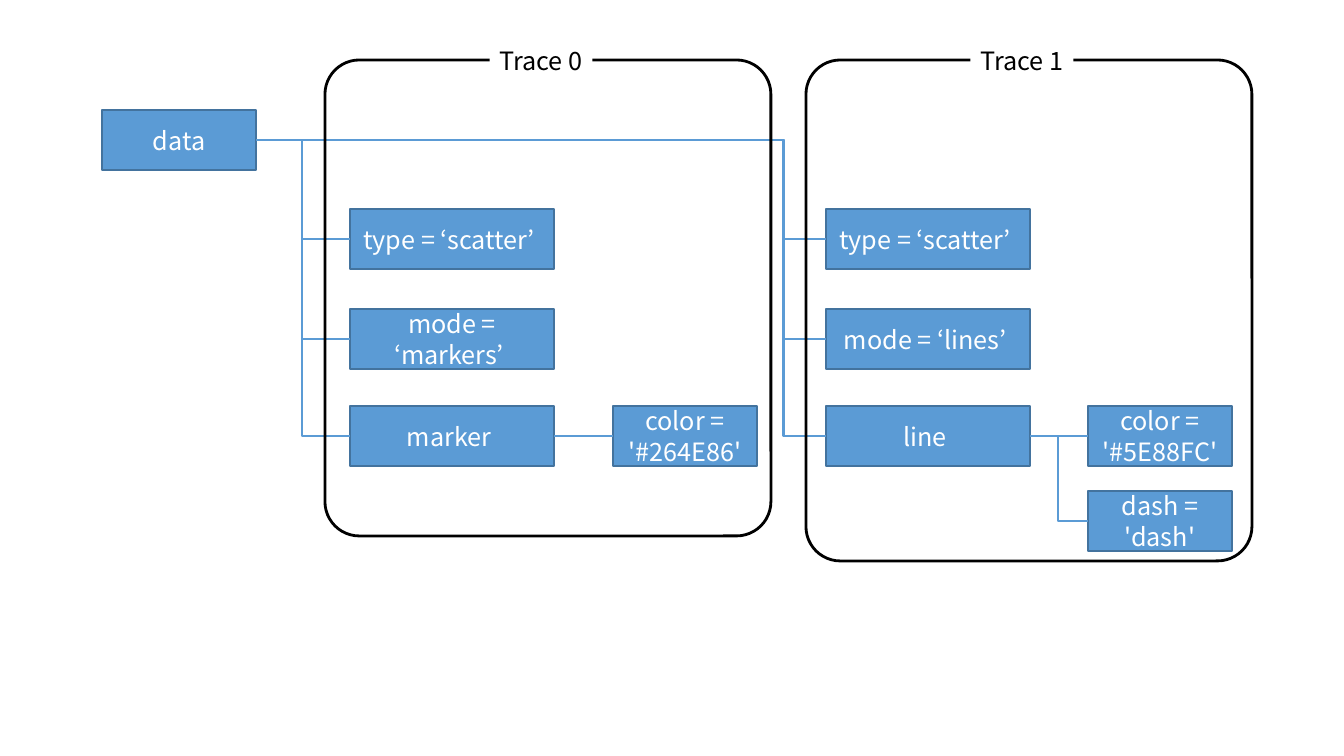
from lxml import etree
from pptx import Presentation, util as u
from pptx.dml.color import RGBColor
from pptx.enum import shapes, text
from pptx.oxml.ns import qn

FONT = "Noto Sans CJK KR"
HUES = {"blue": "5B9BD5", "edge": "43739E", "black": "000000", "white": "FFFFFF"}
SCALE = u.Inches(1) / 100.8
HIGH = 60  # height of every node

# Columns as (left, width), rows as tops
COLS = {"root": (102, 154), "keys0": (350, 204), "subs0": (613, 144),
        "keys1": (826, 204), "subs1": (1088, 144)}
ROWS = {"data": 110, "type": 209, "mode": 309, "style": 406, "dash": 491}

# Nodes: (column, row, wording)
NODES = [
    ("root", "data", "data"),
    ("keys0", "type", "type = ‘scatter’ "),
    ("keys0", "mode", "mode = ‘markers’ "),
    ("keys0", "style", "marker "),
    ("subs0", "style", "color = '#264E86'"),
    ("keys1", "type", "type = ‘scatter’ "),
    ("keys1", "mode", "mode = ‘lines’ "),
    ("keys1", "style", "line "),
    ("subs1", "style", "color = '#5E88FC'"),
    ("subs1", "dash", "dash = 'dash'"),
]

# Branches: (parent, child column, child rows, x of the bend)
LINKS = [
    (("root", "data"), "keys0", ("type", "mode", "style"), 302),
    (("keys0", "style"), "subs0", ("style",), 583),
    (("keys1", "style"), "subs1", ("style", "dash"), 1058),
    (("root", "data"), "keys1", ("type", "mode", "style"), 783),
]

# Traces: (title, left, top, width, height)
TRACES = [("Trace 0", 325, 60, 446, 476), ("Trace 1", 806, 60, 446, 501)]


def px(n):
    return u.Emu(round(n * SCALE))


def rgb(hue):
    return RGBColor.from_string(HUES[hue])


def write(shape, words, hue="white", size=18, align=text.PP_ALIGN.CENTER,
          anchor=text.MSO_ANCHOR.MIDDLE):
    frame = shape.text_frame
    frame.word_wrap = True
    frame.vertical_anchor = anchor
    para = frame.paragraphs[0]
    para.alignment = align
    run = para.add_run()
    run.text = words
    run.font.name, run.font.size = FONT, u.Pt(size)
    run.font.color.rgb = rgb(hue)


def block(box, kind=shapes.MSO_SHAPE.RECTANGLE, fill=None, line=None, width=1):
    shape = slide.shapes.add_shape(kind, *map(px, box))
    shape.shadow.inherit = False
    if fill:
        shape.fill.solid()
        shape.fill.fore_color.rgb = rgb(fill)
    else:
        shape.fill.background()
    if line:
        shape.line.color.rgb = rgb(line)
        shape.line.width = u.Pt(width)
    else:
        shape.line.fill.background()
    return shape


def link(start, end, bend):
    kinds = shapes.MSO_CONNECTOR
    flat = start.top == end.top
    wire = slide.shapes.add_connector(
        kinds.STRAIGHT if flat else kinds.ELBOW, 0, 0, 0, 0)
    wire.begin_connect(start, 3)  # right side
    wire.end_connect(end, 1)      # left side
    wire.line.color.rgb = rgb("blue")
    wire.line.width = u.Pt(2)
    props = wire._element.spPr
    etree.SubElement(props, qn("a:effectLst"))
    if not flat:
        ratio = (px(bend) - wire.begin_x) / (wire.end_x - wire.begin_x)
        guide = etree.SubElement(props.find(".//" + qn("a:avLst")), qn("a:gd"))
        guide.set("name", "adj1")
        guide.set("fmla", f"val {round(ratio * 100000)}")


deck = Presentation()
deck.slide_width, deck.slide_height = px(1344), px(756)
slide = deck.slides.add_slide(deck.slide_layouts[6])

# Nodes of the tree
nodes = {}
for col, row, words in NODES:
    left, wide = COLS[col]
    node = block((left, ROWS[row], wide, HIGH), fill="blue", line="edge")
    write(node, words)
    nodes[col, row] = node

# Branches
for parent, col, rows, bend in LINKS:
    for row in rows:
        link(nodes[parent], nodes[col, row], bend)

# Trace frames
for title, *box in TRACES:
    frame = block(box, shapes.MSO_SHAPE.ROUNDED_RECTANGLE, line="black", width=2)
    frame.adjustments[0] = 0.077

# Titles that break the top edge of each frame
for title, left, top, wide, high in TRACES:
    label = block((left + (wide - 103) / 2 - 7, top - 20, 103, 40), fill="white")
    write(label, title, hue="black", align=text.PP_ALIGN.LEFT,
          anchor=text.MSO_ANCHOR.TOP)

deck.save("out.pptx")
